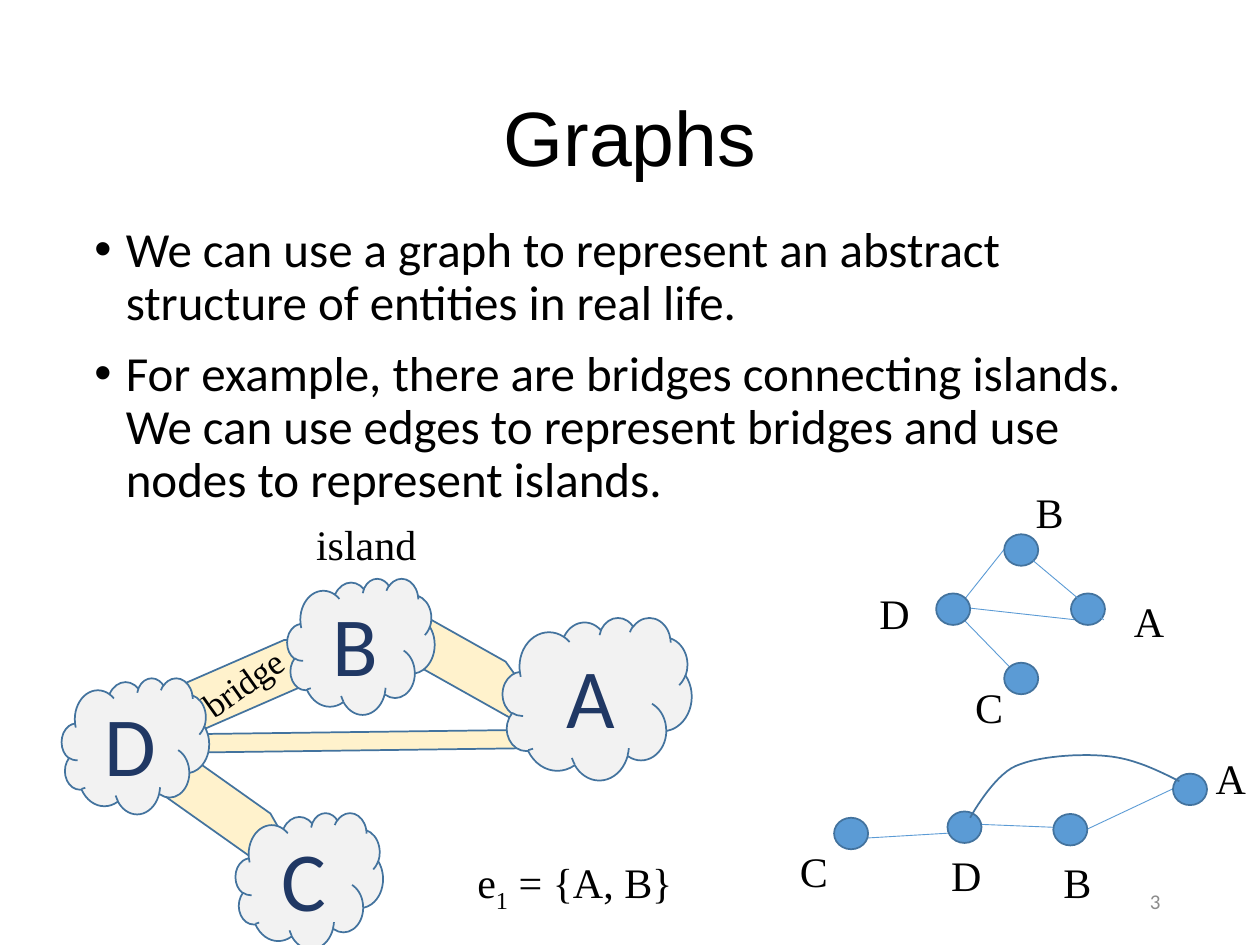
from dataclasses import dataclass

from lxml.etree import SubElement
from pptx import Presentation
from pptx.dml.color import RGBColor as Rgb
from pptx.enum.shapes import MSO_CONNECTOR as Link, MSO_SHAPE as Kind
from pptx.enum.text import MSO_ANCHOR as Anchor, MSO_AUTO_SIZE as Auto, PP_ALIGN as Align
from pptx.oxml.ns import qn
from pptx.util import Pt

PX = 9144  # 100 px to the inch


@dataclass(frozen=True)
class Theme:
    black: str = "000000"
    navy: str = "203864"
    grey: str = "8C8C8C"
    blue: str = "5B9BD5"
    edge: str = "43739E"
    sand: str = "FFF2CC"
    cloud: str = "F2F2F2"
    head: str = "Arial"
    body: str = "Calibri"
    serif: str = "Times New Roman"
    title: int = 44
    text: int = 28
    big: int = 48
    label: int = 24
    small: int = 20
    foot: int = 12


class Deck:
    def __init__(self, theme, wide, high):
        self.theme = theme
        self.prs = Presentation()
        self.prs.slide_width, self.prs.slide_height = wide * PX, high * PX
        self.slide = self.prs.slides.add_slide(self.prs.slide_layouts[6])
        self.shapes = self.slide.shapes

    def style(self, para, face, size, color, align=None):
        para.font.name, para.font.size = face, Pt(size)
        para.font.color.rgb = Rgb.from_string(color)
        para.alignment = align

    def box(self, at, wrap=True, grow=False, anchor=Anchor.TOP, turn=0):
        item = self.shapes.add_textbox(*(n * PX for n in at))
        item.rotation = turn
        frame = item.text_frame
        frame.word_wrap, frame.vertical_anchor = wrap, anchor
        frame.auto_size = Auto.SHAPE_TO_FIT_TEXT if grow else Auto.NONE
        return frame

    def label(self, text, at, size=None, wrap=True, turn=0):
        para = self.box(at, wrap, True, turn=turn).paragraphs[0]
        para.text = text
        self.style(para, self.theme.serif, size or self.theme.label, self.theme.black)
        return para

    def line(self, text, at, face, size, color, align, space=None):
        para = self.box(at, anchor=Anchor.MIDDLE).paragraphs[0]
        para.text, para.line_spacing = text, space
        self.style(para, face, size, color, align)

    def bullets(self, items, at):
        frame = self.box(at)
        for i, text in enumerate(items):
            para = frame.add_paragraph() if i else frame.paragraphs[0]
            para.text, para.line_spacing = text, 0.9
            para.space_before = Pt(10 if i else 0)
            props = para._p.get_or_add_pPr()
            props.set("marL", str(25 * PX))
            props.set("indent", str(-25 * PX))
            SubElement(props, qn("a:buFont"), typeface="Arial")
            SubElement(props, qn("a:buChar"), char="•")
            self.style(para, self.theme.body, self.theme.text, self.theme.black)

    def shape(self, kind, at, fill, turn=0):
        item = self.shapes.add_shape(kind, *(n * PX for n in at))
        item.rotation = turn
        item.shadow.inherit = False
        item.fill.solid()
        item.fill.fore_color.rgb = Rgb.from_string(fill)
        self.rim(item)
        return item

    def rim(self, item):
        item.line.color.rgb = Rgb.from_string(self.theme.edge)
        item.line.width = Pt(1)

    def bridge(self, at, turn=0, cut=0.5):
        self.shape(Kind.DIAGONAL_STRIPE, at, self.theme.sand, turn).adjustments[0] = cut

    def island(self, name, at):
        frame = self.shape(Kind.CLOUD, at, self.theme.cloud).text_frame
        frame.vertical_anchor = Anchor.MIDDLE
        para = frame.paragraphs[0]
        para.text = name
        self.style(para, self.theme.body, self.theme.big, self.theme.navy, Align.CENTER)

    def node(self, x, y):
        self.shape(Kind.OVAL, (x, y, 27, 25), self.theme.blue)

    def link(self, *ends):
        item = self.shapes.add_connector(Link.STRAIGHT, *(n * PX for n in ends))
        item.line.color.rgb = Rgb.from_string(self.theme.blue)
        item.line.width = Pt(0.5)
        SubElement(item._element.spPr, qn("a:effectLst"))

    def curve(self, start, parts, steps=16):
        """Trace cubic curves, each given as two handles and an end."""
        dots, last = [], start
        for part in parts:
            for i in range(1, steps + 1):
                t = i / steps
                w = ((1 - t) ** 3, 3 * t * (1 - t) ** 2, 3 * t * t * (1 - t), t ** 3)
                dots.append(tuple(round(PX * sum(k * p[a] for k, p in zip(w, (last, *part))))
                                  for a in (0, 1)))
            last = part[-1]
        path = self.shapes.build_freeform(start[0] * PX, start[1] * PX)
        path.add_line_segments(dots, close=False)
        item = path.convert_to_shape()
        item.shadow.inherit = False
        item.fill.background()
        self.rim(item)


def main():
    theme = Theme()
    deck = Deck(theme, 1000, 750)

    # Title and body
    deck.line("Graphs", (69, 40, 862, 145), theme.head, theme.title,
              theme.black, Align.CENTER, 0.9)
    deck.bullets((
        "We can use a graph to represent an abstract structure of entities in real life.",
        "For example, there are bridges connecting islands. We can use edges to "
        "represent bridges and use nodes to represent islands.",
    ), (65, 174, 862, 476))

    # Bridges under islands
    deck.bridge((202, 432, 181, 327), 60.3, 0.908)
    deck.bridge((91, 625, 176, 82), 60.3)
    deck.bridge((280, 508, 176, 82), 54.3)
    deck.bridge((127, 508, 197, 86))
    for name, x, y in (("D", 49, 538), ("B", 228, 459), ("C", 187, 645)):
        deck.island(name, (x, y, 117, 108))
    deck.island("A", (399, 490, 150, 129))

    # Edges under nodes
    for ends in ((746, 480, 854, 492), (766, 475, 797, 436), (766, 493, 801, 529),
                 (863, 658, 931, 626), (771, 654, 846, 657), (673, 666, 757, 661)):
        deck.link(*ends)
    for spot in ((743, 471), (797, 424), (850, 471), (797, 526),
                 (752, 644), (836, 646), (931, 614), (662, 649)):
        deck.node(*spot)

    # Edges over nodes
    deck.link(820, 445, 876, 492)
    deck.curve((936, 620), (((918, 611), (900, 602), (878, 600)),
                            ((857, 598), (824, 600), (806, 608)),
                            ((788, 616), (770, 649), (770, 649))))

    # Node names
    for name, x, y in (("A", 890, 468), ("C", 764, 536), ("D", 688, 461), ("B", 812, 381),
                       ("A", 955, 592), ("C", 625, 666), ("D", 745, 669), ("B", 834, 675)):
        wide = {"B": 65, "C": 43}.get(name, 45)
        deck.label(name, (x, y, wide, 50), wrap=name == "B")

    # Captions and page number
    para = deck.label("e", (369, 675, 184, 50), wrap=False)
    sub = para.add_run()
    sub.text = "1"
    sub.font._element.set("baseline", "-25000")
    para.add_run().text = " = {A, B}"
    deck.label("bridge", (145, 513, 115, 44), theme.small, turn=324.5)
    deck.label("island", (241, 407, 115, 50))
    deck.line("3", (706, 695, 225, 40), theme.body, theme.foot, theme.grey, Align.RIGHT)

    deck.prs.save("out.pptx")


if __name__ == "__main__":
    main()
